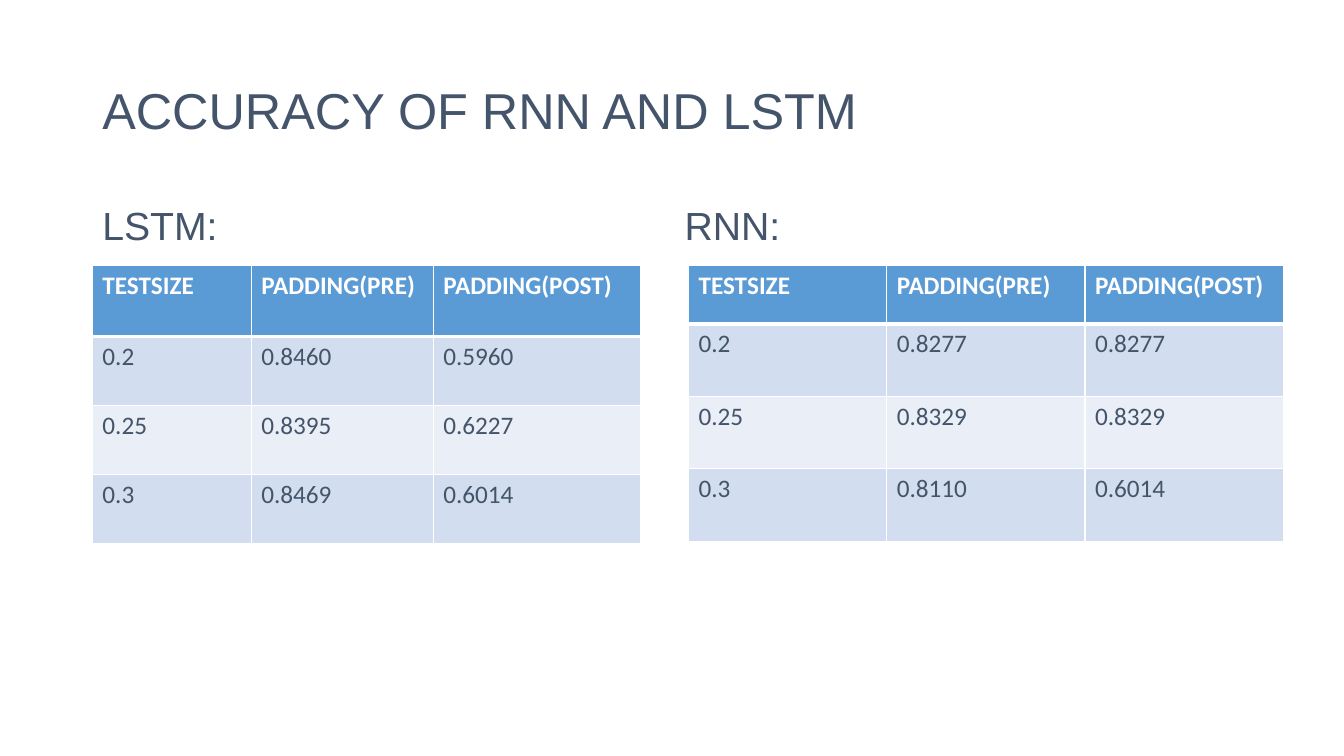
"""Build a slide comparing LSTM and RNN accuracy in two tables."""
from dataclasses import dataclass

from lxml.etree import SubElement
from pptx import Presentation as new_presentation
from pptx.dml.color import RGBColor
from pptx.enum.text import MSO_VERTICAL_ANCHOR as Anchor
from pptx.oxml.ns import qn
from pptx.slide import Slide
from pptx.table import _Cell as Cell
from pptx.text.text import TextFrame
from pptx.util import Pt

WHITE = RGBColor(0xFF, 0xFF, 0xFF)
SLATE = RGBColor(0x44, 0x54, 0x6A)
HEADER_BLUE = RGBColor(0x5B, 0x9B, 0xD5)
BANDS = (RGBColor(0xD2, 0xDE, 0xEF), RGBColor(0xEA, 0xEF, 0xF7))
HEADER = ("TESTSIZE", "PADDING(PRE)", "PADDING(POST)")
TABLE_TOP = 189.5


@dataclass(frozen=True)
class Heading:
    text: str
    left: float
    top: float
    width: float
    height: float
    size: float
    anchor: Anchor = Anchor.TOP


@dataclass(frozen=True)
class AccuracyTable:
    left: float
    widths: tuple[float, ...]
    header_height: float
    row_height: float
    rows: tuple[tuple[str, ...], ...]


HEADINGS = (
    Heading("ACCURACY OF RNN AND LSTM", 66, 28.75, 828, 104.4, 36, Anchor.MIDDLE),
    Heading("LSTM:", 66, 144, 390, 40, 28),
    Heading("RNN:", 482, 144, 412, 40, 28),
)
TABLES = (
    AccuracyTable(66, (113.5, 130, 148), 50.8, 49.3, (
        ("0.2", "0.8460", "0.5960"),
        ("0.25", "0.8395", "0.6227"),
        ("0.3", "0.8469", "0.6014"),
    )),
    AccuracyTable(491.8, (141.6,) * 3, 41.7, 51.8, (
        ("0.2", "0.8277", "0.8277"),
        ("0.25", "0.8329", "0.8329"),
        ("0.3", "0.8110", "0.6014"),
    )),
)


def write_text(frame: TextFrame, text: str, *, size: float, font: str,
               color: RGBColor, bold: bool = False, spacing: float = 1.0) -> None:
    paragraph = frame.paragraphs[0]
    paragraph.line_spacing = spacing
    run = paragraph.add_run()
    run.text = text
    run.font.size = Pt(size)
    run.font.name = font
    run.font.bold = bold
    run.font.color.rgb = color


def draw_heading(slide: Slide, heading: Heading) -> None:
    shape = slide.shapes.add_textbox(
        Pt(heading.left), Pt(heading.top), Pt(heading.width), Pt(heading.height))
    frame = shape.text_frame
    frame.word_wrap = True
    frame.vertical_anchor = heading.anchor
    write_text(frame, heading.text, size=heading.size, font="Arial",
               color=SLATE, spacing=0.9)


def set_borders(cell: Cell, top: float, bottom: float) -> None:
    properties = cell._tc.get_or_add_tcPr()
    for side, width in (("L", 1), ("R", 1), ("T", top), ("B", bottom)):
        line = SubElement(properties, qn(f"a:ln{side}"), w=str(Pt(width)))
        fill = SubElement(line, qn("a:solidFill"))
        SubElement(fill, qn("a:srgbClr"), val=str(WHITE))


def draw_table(slide: Slide, accuracy: AccuracyTable) -> None:
    heights = (accuracy.header_height,) + (accuracy.row_height,) * len(accuracy.rows)
    table = slide.shapes.add_table(
        len(heights), len(HEADER), Pt(accuracy.left), Pt(TABLE_TOP),
        Pt(sum(accuracy.widths)), Pt(sum(heights))).table
    for column, width in zip(table.columns, accuracy.widths):
        column.width = Pt(width)
    for index, values in enumerate((HEADER, *accuracy.rows)):
        table.rows[index].height = Pt(heights[index])
        is_header = index == 0
        for position, value in enumerate(values):
            cell = table.cell(index, position)
            set_borders(cell, 3 if index == 1 else 1, 3 if is_header else 1)
            cell.fill.solid()
            cell.fill.fore_color.rgb = HEADER_BLUE if is_header else BANDS[(index - 1) % 2]
            write_text(cell.text_frame, value, size=18, font="Calibri",
                       color=WHITE if is_header else SLATE, bold=is_header)


def main() -> None:
    presentation = new_presentation()
    presentation.slide_width = Pt(960)
    presentation.slide_height = Pt(540)
    slide = presentation.slides.add_slide(presentation.slide_layouts[6])
    for heading in HEADINGS:
        draw_heading(slide, heading)
    for accuracy in TABLES:
        draw_table(slide, accuracy)
    presentation.save("out.pptx")


if __name__ == "__main__":
    main()
